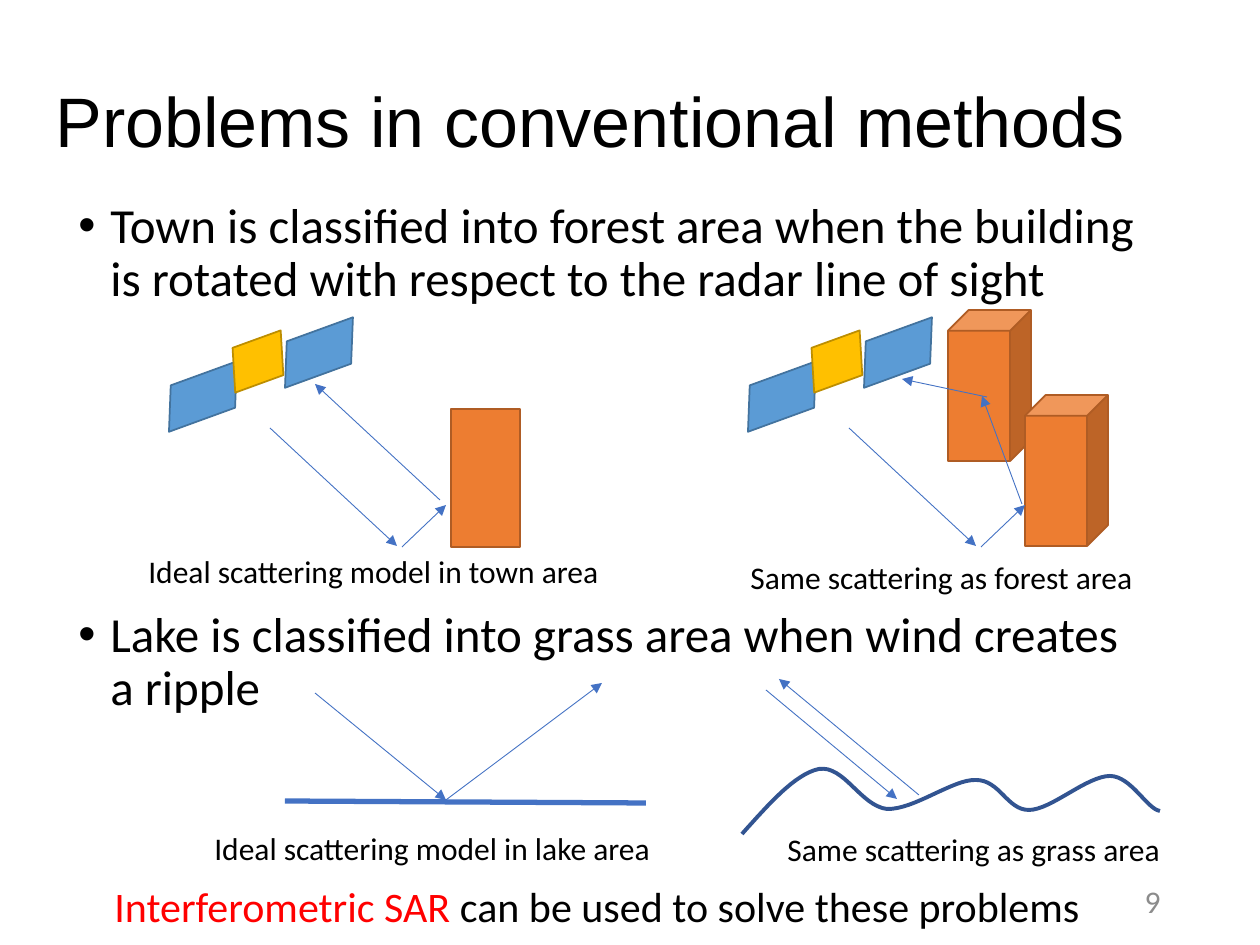
from itertools import pairwise

from lxml.etree import SubElement
from pptx import Presentation
from pptx.dml.color import RGBColor
from pptx.enum.shapes import MSO_CONNECTOR, MSO_SHAPE
from pptx.enum.text import MSO_ANCHOR, PP_ALIGN
from pptx.oxml.ns import qn
from pptx.util import Emu, Pt

PX_PER_INCH = 126
EMU_PER_PX = 914400 / PX_PER_INCH
SCENE_SHIFT = 579
CURVE_STEPS = 16

COLORS = {
    "text": "000000",
    "accent": "FF0000",
    "number": "8C8C8C",
    "building": "ED7D31",
    "building_edge": "AF5C24",
    "panel": "5B9BD5",
    "panel_edge": "43739E",
    "satellite": "FFC000",
    "satellite_edge": "BD8E00",
    "ray": "4472C4",
    "ripple": "325491",
}

# The ripple: crests and troughs, each with the control points on either side
RIPPLE = [
    [(742, 834), (769, 804), (795, 774), (819, 769)],
    [(819, 769), (844, 765), (861, 806), (887, 809)],
    [(887, 809), (914, 810), (953, 779), (976, 780)],
    [(976, 780), (1000, 780), (1007, 810), (1029, 810)],
    [(1029, 810), (1051, 810), (1087, 776), (1110, 776)],
    [(1110, 776), (1131, 776), (1147, 809), (1160, 811)],
]


def px(length):
    return Emu(round(length * EMU_PER_PX))


def rgb(name):
    return RGBColor.from_string(COLORS[name])


def style_font(font, size, color="text", name="Calibri"):
    font.name = name
    font.size = Pt(size)
    font.color.rgb = rgb(color)


def add_box(page, area, wrap=True, anchor=MSO_ANCHOR.TOP):
    frame = page.shapes.add_textbox(*map(px, area)).text_frame
    frame.word_wrap = wrap
    frame.vertical_anchor = anchor
    return frame


def add_label(page, area, text, size=18, color="text", name="Calibri",
              wrap=False, anchor=MSO_ANCHOR.TOP, align=PP_ALIGN.LEFT):
    para = add_box(page, area, wrap, anchor).paragraphs[0]
    para.text = text
    para.alignment = align
    style_font(para.font, size, color, name)
    return para


def add_bullets(page, area, items, gap):
    frame = add_box(page, area)
    for index, text in enumerate(items):
        para = frame.add_paragraph() if index else frame.paragraphs[0]
        para.text = text
        para.line_spacing = 0.9
        para.space_before = Pt(gap if index else 0)
        properties = para._p.get_or_add_pPr()
        indent = px(32)
        properties.set("marL", str(indent))
        properties.set("indent", str(-indent))
        SubElement(properties, qn("a:buFont"), typeface="Arial")
        SubElement(properties, qn("a:buChar"), char="•")
        style_font(para.font, 28)


def add_solid(page, kind, area, color, rotation=0):
    shape = page.shapes.add_shape(kind, *map(px, area))
    shape.shadow.inherit = False
    shape.rotation = rotation
    shape.fill.solid()
    shape.fill.fore_color.rgb = rgb(color)
    shape.line.color.rgb = rgb(color + "_edge")
    shape.line.width = Pt(1)


def add_line(page, start, end, width=0.5, arrow=True):
    line = page.shapes.add_connector(
        MSO_CONNECTOR.STRAIGHT, *map(px, (*start, *end)))
    line.line.color.rgb = rgb("ray")
    line.line.width = Pt(width)
    if arrow:
        SubElement(line.line._get_or_add_ln(), qn("a:tailEnd"), type="triangle")
    SubElement(line._element.spPr, qn("a:effectLst"))


def add_rays(page, points):
    for start, end in pairwise(points):
        add_line(page, start, end)


def add_satellite(page, shift):
    parts = [
        ((159, 375, 88, 43), "panel"),
        ((275, 331, 88, 43), "panel"),
        ((226, 340, 64, 43), "satellite"),
    ]
    for (left, *rest), color in parts:
        add_solid(page, MSO_SHAPE.FLOWCHART_DATA, (left + shift, *rest), color, 340)


def add_radar(page, shift):
    """Satellite with its ray to the ground and on to the building."""
    add_line(page, (270 + shift, 428), (397 + shift, 546))
    add_line(page, (402 + shift, 547), (446 + shift, 505))
    add_satellite(page, shift)


def bezier_point(curve, t):
    weights = ((1 - t) ** 3, 3 * t * (1 - t) ** 2, 3 * t * t * (1 - t), t ** 3)
    return tuple(px(sum(w * value for w, value in zip(weights, axis)))
                 for axis in zip(*curve))


def add_ripple(page):
    points = [bezier_point(curve, step / CURVE_STEPS)
              for curve in RIPPLE for step in range(1, CURVE_STEPS + 1)]
    builder = page.shapes.build_freeform(*bezier_point(RIPPLE[0], 0))
    builder.add_line_segments(points, close=False)
    wave = builder.convert_to_shape()
    wave.shadow.inherit = False
    wave.fill.background()
    wave.line.color.rgb = rgb("ripple")
    wave.line.width = Pt(2.25)


def add_conclusion(page):
    para = add_box(page, (102, 874, 1086, 63)).paragraphs[0]
    for text, color in (("Interferometric SAR ", "accent"),
                        ("can be used to solve these problems", "text")):
        span = para.add_run()
        span.text = text
        style_font(span.font, 24, color)


def main():
    deck = Presentation()
    deck.slide_width, deck.slide_height = px(1260), px(945)
    page = deck.slides.add_slide(deck.slide_layouts[6])

    # Rear building, behind all text
    add_solid(page, MSO_SHAPE.CUBE, (948, 310, 83, 151), "building")

    # Title, bullets, page number and conclusion
    add_bullets(page, (66, 195, 1086, 600), [
        "Town is classified into forest area when the building is rotated "
        "with respect to the radar line of sight",
        "Lake is classified into grass area when wind creates a ripple",
    ], gap=173)
    add_label(page, (890, 876, 283, 50), "9", color="number", wrap=True,
              anchor=MSO_ANCHOR.MIDDLE, align=PP_ALIGN.RIGHT)
    title = add_label(page, (43, 33, 1118, 183), "Problems in conventional methods",
                      40, name="Arial", wrap=True, anchor=MSO_ANCHOR.MIDDLE)
    title.line_spacing = 0.9
    add_conclusion(page)

    # Town: ideal case
    add_radar(page, 0)
    add_line(page, (440, 500), (315, 384))
    add_solid(page, MSO_SHAPE.RECTANGLE, (451, 409, 69, 138), "building")
    add_label(page, (136, 546, 481, 50), "Ideal scattering model in town area")

    # Town: rotated buildings
    add_solid(page, MSO_SHAPE.CUBE, (1025, 395, 83, 151), "building")
    add_radar(page, SCENE_SHIFT)
    add_line(page, (1022, 504), (982, 396))
    add_line(page, (987, 397), (902, 379))
    add_label(page, (738, 552, 412, 50), "Same scattering as forest area")

    # Lake: flat water
    add_rays(page, [(315, 693), (446, 800), (602, 683)])
    add_line(page, (285, 801), (646, 803), width=3, arrow=False)
    add_label(page, (202, 823, 467, 50), "Ideal scattering model in lake area")

    # Lake: rippled water
    add_line(page, (766, 690), (897, 799))
    add_line(page, (919, 795), (779, 679))
    add_ripple(page)
    add_label(page, (775, 824, 403, 50), "Same scattering as grass area")

    deck.save("out.pptx")


if __name__ == "__main__":
    main()
